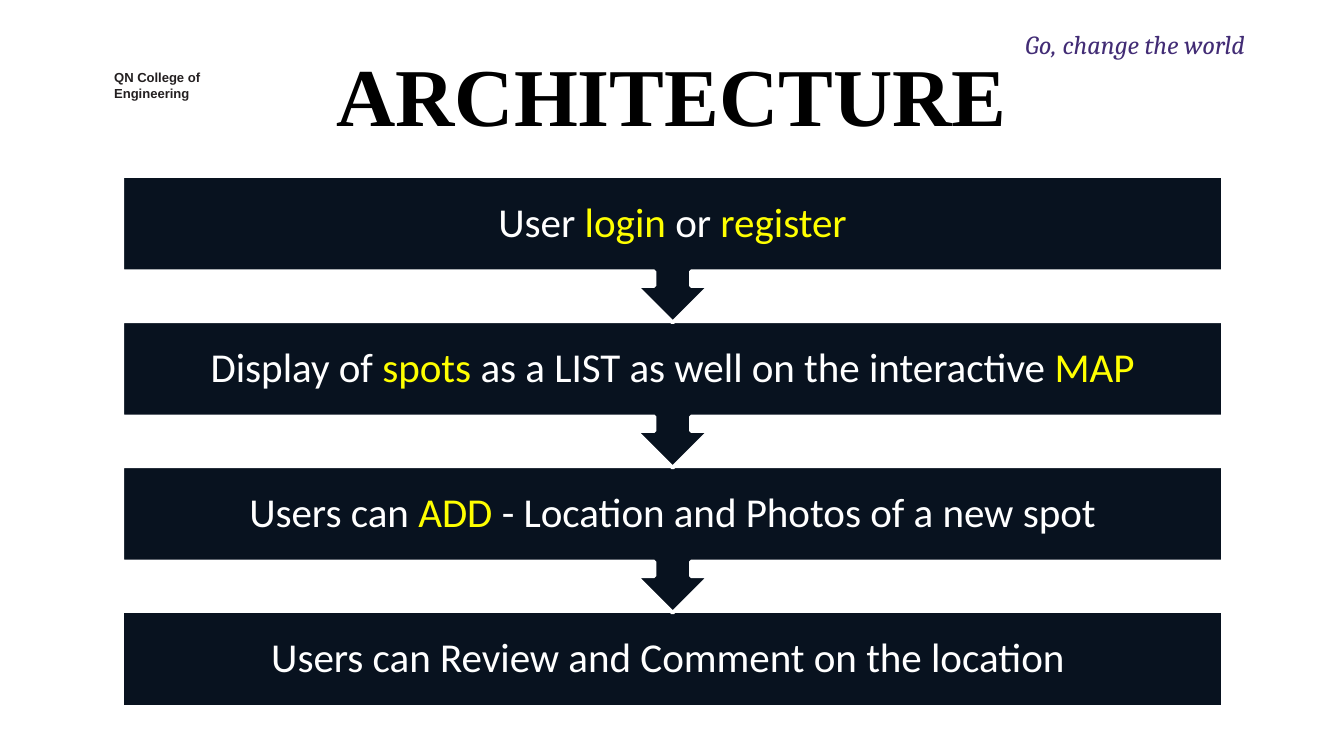
from pptx import Presentation
from pptx.dml.color import RGBColor
from pptx.enum.shapes import MSO_SHAPE
from pptx.enum.text import MSO_ANCHOR, PP_ALIGN
from pptx.util import Inches, Pt

RECTANGLE = MSO_SHAPE.RECTANGLE
ARROW_CALLOUT = MSO_SHAPE.UP_ARROW_CALLOUT
TOP, MIDDLE = MSO_ANCHOR.TOP, MSO_ANCHOR.MIDDLE
LEFT, CENTER = PP_ALIGN.LEFT, PP_ALIGN.CENTER

NAVY, WHITE, YELLOW = "08121F", "FFFFFF", "FFFF00"
BLACK, CHARCOAL, PURPLE = "000000", "231F20", "422C75"

# Each step is a list of (text, colour) runs
STEPS = [
    [("User ", WHITE), ("login", YELLOW), (" or ", WHITE), ("register", YELLOW)],
    [("Display of ", WHITE), ("spots ", YELLOW),
     ("as a LIST as well on the interactive ", WHITE), ("MAP", YELLOW)],
    [("Users can ", WHITE), ("ADD ", YELLOW),
     ("- Location and Photos of a new spot", WHITE)],
    [("Users can Review and Comment on the location ", WHITE)],
]


def color(hex_value):
    return RGBColor.from_string(hex_value)


def add_text(slide, box, paragraphs, font, size, bold=False, italic=False,
             align=LEFT, anchor=TOP, margins=(0, 0.01, 0, 0), spacing=1.0):
    """Place paragraphs, each a list of (text, colour) runs, in a box."""
    shape = slide.shapes.add_textbox(*map(Inches, box))
    frame = shape.text_frame
    frame.word_wrap = True
    frame.vertical_anchor = anchor
    (frame.margin_left, frame.margin_top,
     frame.margin_right, frame.margin_bottom) = map(Inches, margins)
    for index, runs in enumerate(paragraphs):
        paragraph = frame.add_paragraph() if index else frame.paragraphs[0]
        paragraph.alignment = align
        paragraph.line_spacing = spacing
        for text, text_color in runs:
            run = paragraph.add_run()
            run.text = text
            run.font.name = font
            run.font.size = Pt(size)
            run.font.bold = bold
            run.font.italic = italic
            run.font.color.rgb = color(text_color)


def add_header(slide, left, top):
    # Title
    add_text(slide, (left, top, 9, 0.94), [[("ARCHITECTURE", BLACK)]],
             "Times New Roman", 44, bold=True, align=CENTER, anchor=MIDDLE,
             margins=(0.1, 0.05, 0.1, 0.05))
    # College name
    add_text(slide, (left + 0.35, top + 0.27, 0.89, 0.24),
             [[("QN College of", CHARCOAL)], [("Engineering", CHARCOAL)]],
             "Arial", 7, bold=True, spacing=1.06)
    # Motto
    add_text(slide, (left + 7.13, top - 0.03, 2.08, 0.24),
             [[("Go, change the world", PURPLE)]], "Cambria", 14, italic=True)


def add_step(slide, left, top, width, height, runs, kind, shape_height):
    # Block, turned so that a callout's arrow points down
    shape = slide.shapes.add_shape(
        kind, Inches(left), Inches(top), Inches(width), Inches(shape_height))
    shape.shadow.inherit = False
    shape.fill.solid()
    shape.fill.fore_color.rgb = color(NAVY)
    shape.line.color.rgb = color(WHITE)
    shape.line.width = Pt(2)
    if kind == ARROW_CALLOUT:
        shape.rotation = 180
    # Label
    add_text(slide, (left, top, width, height), [runs], "Calibri", 22,
             align=CENTER, anchor=MIDDLE, margins=(0.17,) * 4, spacing=0.9)


def add_flow(slide, left, top, width):
    block_height, callout_height, pitch = 0.71, 1.09, 1.08
    last = len(STEPS) - 1
    # From the bottom up, so that each arrow lies over the next block
    for index in range(last, -1, -1):
        if index == last:
            kind, shape_height = RECTANGLE, block_height
        else:
            kind, shape_height = ARROW_CALLOUT, callout_height
        add_step(slide, left, top + index * pitch, width, block_height,
                 STEPS[index], kind, shape_height)


def main():
    presentation = Presentation()
    # Widescreen, 16:9
    presentation.slide_width = Inches(10)
    presentation.slide_height = Inches(10 * 9 / 16)
    slide = presentation.slides.add_slide(presentation.slide_layouts[6])
    add_header(slide, 0.5, 0.23)
    add_flow(slide, 0.91, 1.31, 8.19)
    presentation.save("out.pptx")


if __name__ == "__main__":
    main()
